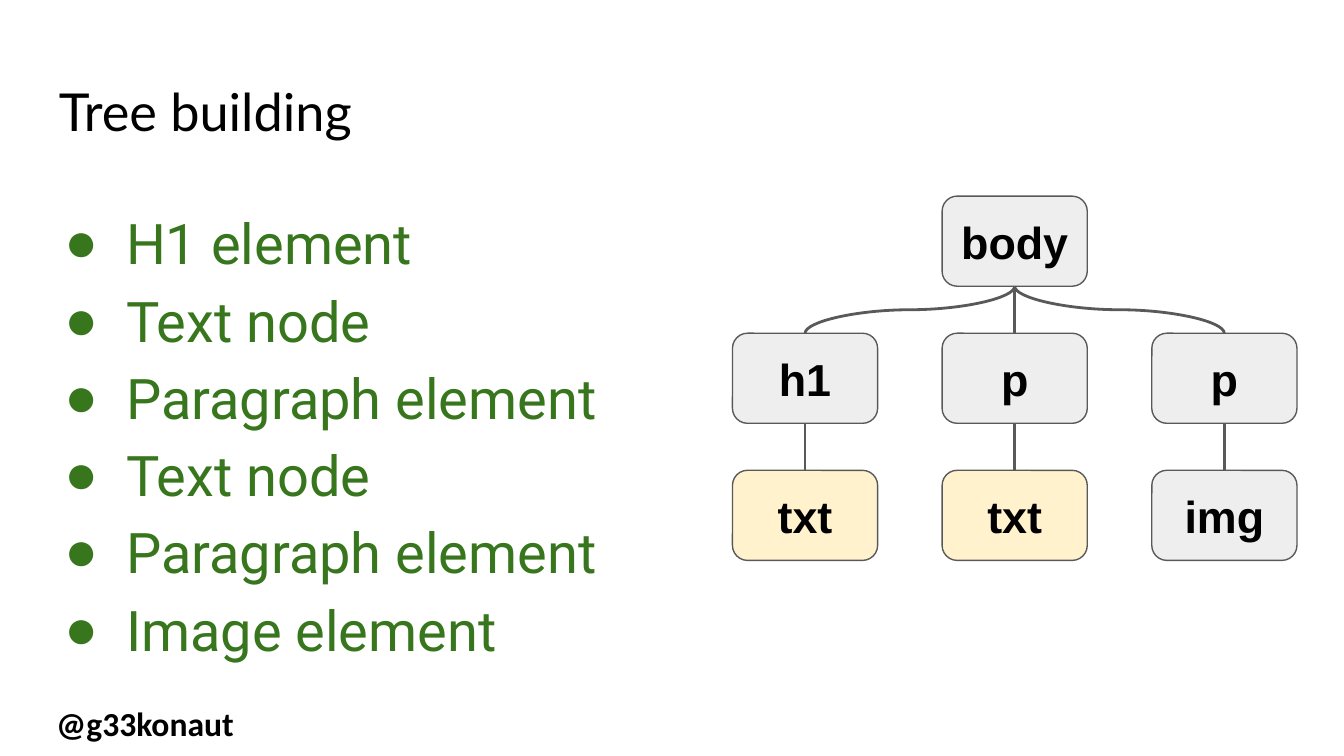
from lxml.etree import SubElement
from pptx import Presentation
from pptx.dml.color import RGBColor
from pptx.enum.shapes import MSO_CONNECTOR, MSO_SHAPE
from pptx.enum.text import MSO_ANCHOR, PP_ALIGN
from pptx.oxml.ns import qn
from pptx.util import Pt

PX = 9144  # 100 px to the inch
BLACK = RGBColor(0x00, 0x00, 0x00)
GREEN = RGBColor(0x38, 0x76, 0x1D)
GRAY = RGBColor(0x59, 0x59, 0x59)
ELEMENT_FILL = RGBColor(0xEE, 0xEE, 0xEE)
TEXT_FILL = RGBColor(0xFF, 0xF2, 0xCC)

# A 16:9 slide, 10 inches wide
deck = Presentation()
deck.slide_width = 1000 * PX
deck.slide_height = deck.slide_width * 9 // 16
slide = deck.slides.add_slide(deck.slide_layouts[6])


def write(shape, text, font, size, color, bold=False):
    frame = shape.text_frame
    frame.word_wrap = True
    frame.margin_left = frame.margin_right = 10 * PX
    frame.margin_top = frame.margin_bottom = 10 * PX
    frame.text = text
    for paragraph in frame.paragraphs:
        for run in paragraph.runs:
            run.font.name = font
            run.font.size = Pt(size)
            run.font.bold = bold
            run.font.color.rgb = color
    return frame


# Footer and title
footer = slide.shapes.add_textbox(32 * PX, 513 * PX, 223 * PX, 30 * PX)
write(footer, "@g33konaut", "Calibri", 18, BLACK, bold=True)
title = slide.shapes.add_textbox(34 * PX, 49 * PX, 932 * PX, 63 * PX)
write(title, "Tree building", "Lato", 28, BLACK)

# Bulleted list of nodes
NODES = ["H1 element", "Text node", "Paragraph element",
         "Text node", "Paragraph element", "Image element"]
node_list = slide.shapes.add_textbox(34 * PX, 138 * PX, 437 * PX, 374 * PX)
for item in write(node_list, "\n".join(NODES), "Roboto", 30, GREEN).paragraphs:
    item.line_spacing = 1.15
    properties = item._p.get_or_add_pPr()
    properties.set("marL", str(50 * PX))
    properties.set("indent", str(-46 * PX))
    bullet_color = SubElement(properties, qn("a:buClr"))
    SubElement(bullet_color, qn("a:srgbClr"), val=str(GREEN))
    SubElement(properties, qn("a:buFont"), typeface="Arial")
    SubElement(properties, qn("a:buChar"), char="●")

# Tree nodes, as (tag, column, row, parent index)
TREE = [("body", 1, 0, None),
        ("h1", 0, 1, 0), ("p", 1, 1, 0), ("p", 2, 1, 0),
        ("txt", 0, 2, 1), ("txt", 1, 2, 2), ("img", 2, 2, 3)]
LEFT, TOP, WIDTH, HEIGHT = 545, 146, 108, 67
COLUMN_STEP, ROW_STEP = 156, 102
GAP = ROW_STEP - HEIGHT

boxes = []
for tag, column, row, parent in TREE:
    box = slide.shapes.add_shape(
        MSO_SHAPE.ROUNDED_RECTANGLE,
        (LEFT + column * COLUMN_STEP) * PX, (TOP + row * ROW_STEP) * PX,
        WIDTH * PX, HEIGHT * PX)
    box.shadow.inherit = False
    box.fill.solid()
    box.fill.fore_color.rgb = TEXT_FILL if tag == "txt" else ELEMENT_FILL
    box.line.color.rgb = GRAY
    box.line.width = Pt(0.75)
    frame = write(box, tag, "Arial", 24, BLACK, bold=True)
    frame.vertical_anchor = MSO_ANCHOR.MIDDLE
    frame.paragraphs[0].alignment = PP_ALIGN.CENTER
    boxes.append(box)

# Branches: curves turned upright, from a parent's bottom to a child's top
for child, (tag, column, row, parent) in enumerate(TREE[1:], start=1):
    parent_column = TREE[parent][1]
    span = abs(column - parent_column) * COLUMN_STEP
    center_x = LEFT + WIDTH // 2 + (column + parent_column) * COLUMN_STEP // 2
    center_y = TOP + row * ROW_STEP - GAP / 2
    branch = slide.shapes.add_connector(MSO_CONNECTOR.CURVE, 0, 0, 0, 0)
    branch.begin_connect(boxes[parent], 2)
    branch.end_connect(boxes[child], 0)
    branch.left = int((center_x - GAP / 2) * PX)
    branch.top = int((center_y - span / 2) * PX)
    branch.width, branch.height = GAP * PX, span * PX
    goes_left = column < parent_column
    placement = branch._element.spPr.find(qn("a:xfrm"))
    placement.set("rot", str((90 if goes_left else 270) * 60000))
    placement.set("flipH", "0" if goes_left else "1")
    placement.set("flipV", "0")
    branch.line.color.rgb = GRAY
    branch.line.width = Pt(1.5)
    SubElement(branch._element.spPr, qn("a:effectLst"))

deck.save("out.pptx")
